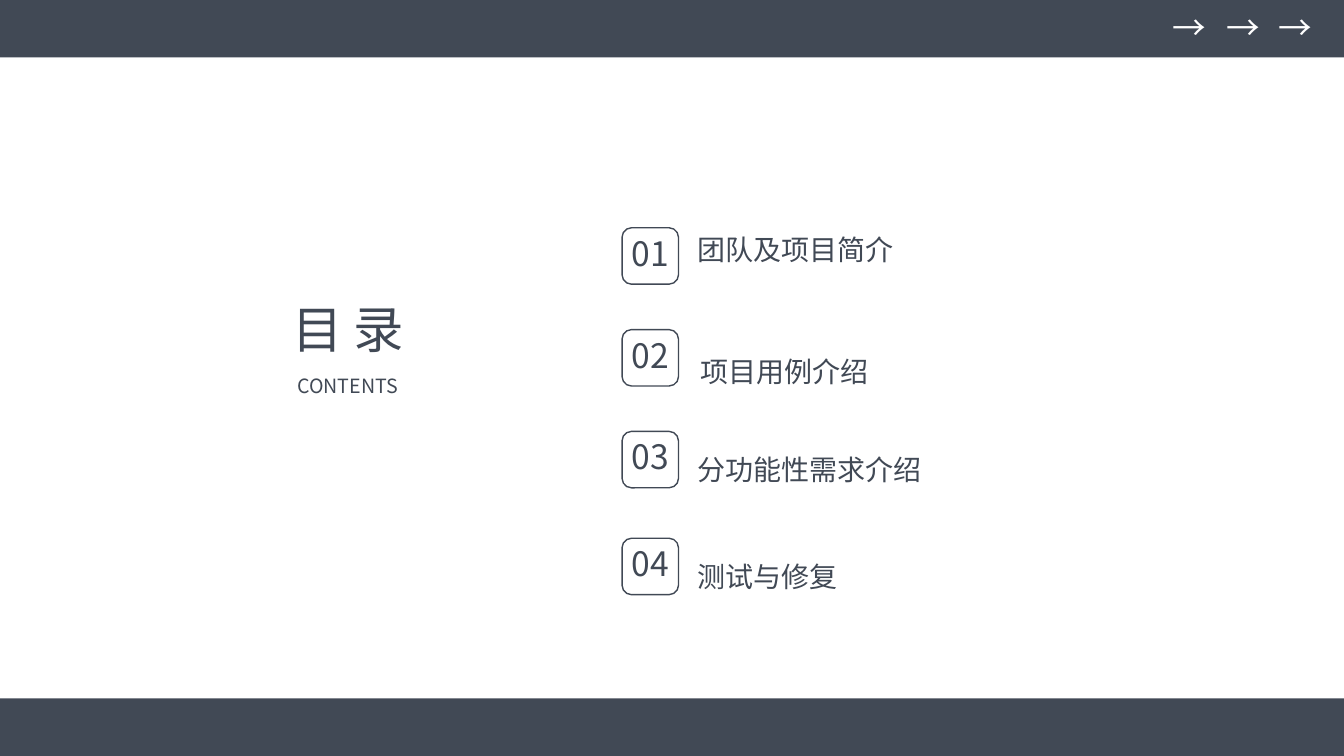
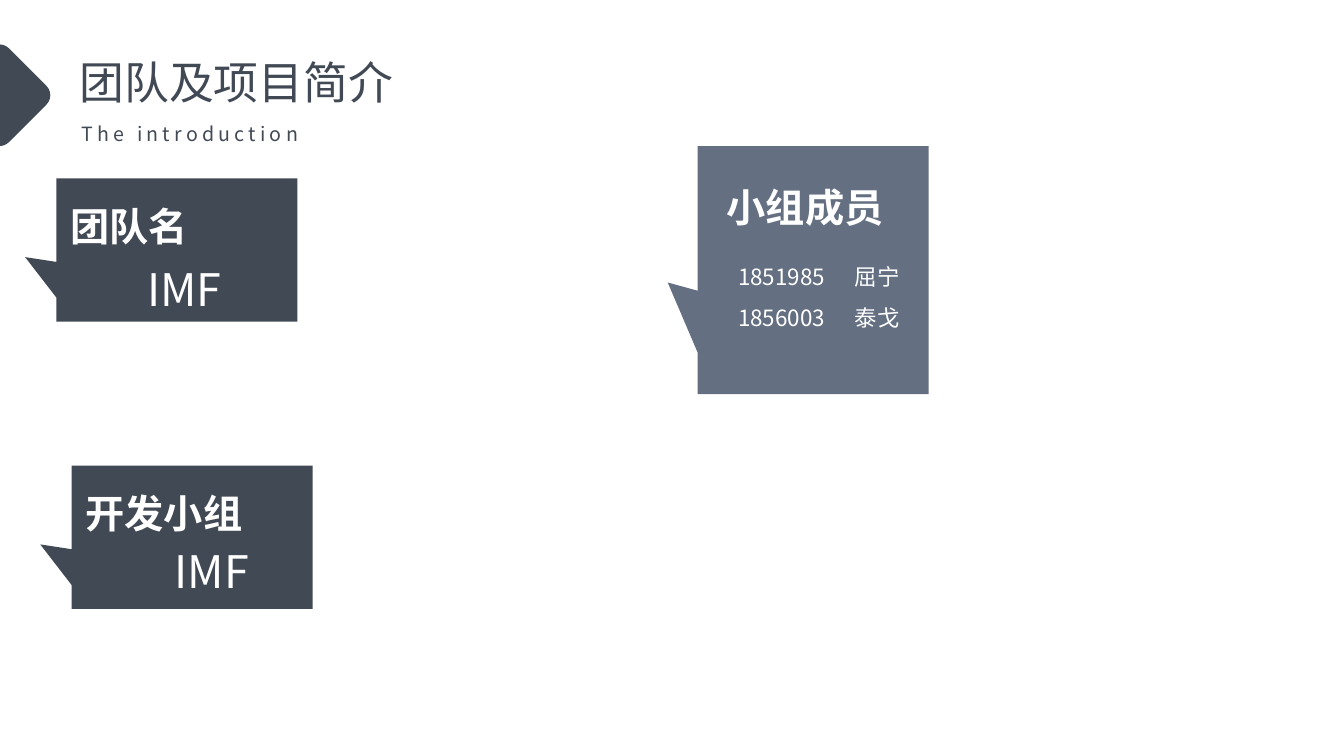
import pptx
import pptx.dml.color
import pptx.enum.shapes
import pptx.enum.text
import pptx.oxml.ns
import pptx.util
from lxml import etree

EMU_PER_PX = 9144
SLIDE_WIDTH, SLIDE_HEIGHT = 1333, 750
SHAPES = pptx.enum.shapes.MSO_SHAPE
ALIGN = pptx.enum.text.PP_ALIGN


def px(length):
    return pptx.util.Emu(length * EMU_PER_PX)


class Deck:
    font_name = "Noto Sans CJK SC"
    colors = {"dark": "414955", "slate": "647082", "white": "FFFFFF"}
    formats = {
        "arrow": {"size": 24, "color": "white", "tracking": 3},
        "contents": {"size": 36},
        "caption": {"size": 14},
        "number": {"size": 24},
        "entry": {"size": 20},
        "title": {"size": 32},
        "subtitle": {"size": 14, "tracking": 3},
        "heading": {"size": 28, "color": "white", "bold": True},
        "team": {"size": 32, "color": "white"},
        "member": {"size": 16, "color": "white"},
    }

    def __init__(self):
        self.presentation = pptx.Presentation()
        self.presentation.slide_width = px(SLIDE_WIDTH)
        self.presentation.slide_height = px(SLIDE_HEIGHT)
        self.slide = None

    def color(self, name):
        return pptx.dml.color.RGBColor.from_string(self.colors[name])

    def new_slide(self):
        self.slide = self.presentation.slides.add_slide(self.presentation.slide_layouts[6])

    def shape(self, kind, left, top, width, height, fill=None, line=None):
        shape = self.slide.shapes.add_shape(kind, px(left), px(top), px(width), px(height))
        shape.shadow.inherit = False
        for format_part, name in ((shape.fill, fill), (shape.line.fill, line)):
            if name:
                format_part.solid()
                format_part.fore_color.rgb = self.color(name)
            else:
                format_part.background()
        if line:
            shape.line.width = pptx.util.Pt(1)
        return shape

    def text(self, lines, style, left, top, width, height,
             align=ALIGN.LEFT, spacing=1.0, inset=True, tab=None):
        """Write one paragraph per line; tab is the position of a tab stop in px."""
        box = self.slide.shapes.add_textbox(px(left), px(top), px(width), px(height))
        frame = box.text_frame
        frame.word_wrap = True
        if not inset:
            for side in ("left", "right", "top", "bottom"):
                setattr(frame, f"margin_{side}", 0)
        for index, line in enumerate(lines):
            paragraph = frame.add_paragraph() if index else frame.paragraphs[0]
            paragraph.alignment = align
            paragraph.line_spacing = spacing
            if tab:
                properties = paragraph._p.get_or_add_pPr()
                stops = etree.SubElement(properties, pptx.oxml.ns.qn("a:tabLst"))
                etree.SubElement(stops, pptx.oxml.ns.qn("a:tab"), pos=str(px(tab)), algn="l")
            self.run(paragraph, line, **self.formats[style])

    def run(self, paragraph, text, size, color="dark", bold=False, tracking=0):
        run = paragraph.add_run()
        run.text = text
        values = {"name": self.font_name, "size": pptx.util.Pt(size), "bold": bold}
        for attribute, value in values.items():
            setattr(run.font, attribute, value)
        run.font.color.rgb = self.color(color)
        properties = run._r.get_or_add_rPr()
        etree.SubElement(properties, pptx.oxml.ns.qn("a:ea"), typeface=self.font_name)
        if tracking:
            properties.set("spc", str(tracking * 100))

    def bands(self):
        height = 57
        for top in (SLIDE_HEIGHT - height, 0):
            self.shape(SHAPES.RECTANGLE, 0, top, SLIDE_WIDTH, height, fill="dark")
        for left in (1110, 1163, 1215):
            self.text(["→"], "arrow", left, 2, 140, 50, align=ALIGN.CENTER)

    def entry(self, number, label, top, label_left, label_top, spacing):
        self.shape(SHAPES.ROUNDED_RECTANGLE, 617, top, 56, 56, line="dark")
        self.text([f"{number:02}"], "number", 605, top, 80, 50, align=ALIGN.CENTER)
        self.text([label], "entry", label_left, label_top, 416, 59, spacing=spacing)

    def title(self, title, subtitle):
        diamond = self.shape(SHAPES.ROUNDED_RECTANGLE, -40, 55, 79, 79, fill="dark")
        diamond.rotation = 45
        self.text([title], "title", 69, 49, 375, 64)
        self.text([subtitle], "subtitle", 71, 104, 277, 41, spacing=1.5)

    def callout(self, left, top, width, height, fill):
        callout = self.shape(SHAPES.RECTANGULAR_CALLOUT, left, top, width, height, fill=fill)
        callout.adjustments[0] = -0.63
        callout.adjustments[1] = 0.05

    def team_card(self, heading, name, left, top, name_left, name_top):
        self.callout(left, top, 239, 142, "dark")
        self.text([heading], "heading", left + 14, top, 185, 91, spacing=1.5, inset=False)
        self.text([name], "team", name_left, name_top, 200, 64, align=ALIGN.CENTER)


def contents_slide(deck):
    deck.new_slide()
    deck.bands()
    deck.text(["CONTENTS"], "caption", 285, 366, 143, 34, align=ALIGN.JUSTIFY)
    deck.text(["目 录"], "contents", 280, 291, 155, 71, align=ALIGN.JUSTIFY)
    entries = (
        ("团队及项目简介", 226, 682, 226, 1.0),
        ("项目用例介绍", 327, 685, 322, 1.75),
        ("分功能性需求介绍", 428, 682, 419, 1.75),
        ("测试与修复", 534, 682, 525, 1.75),
    )
    for number, entry in enumerate(entries, start=1):
        deck.entry(number, *entry)


def team_slide(deck):
    deck.new_slide()
    deck.title("团队及项目简介", "The introduction")
    deck.callout(692, 145, 229, 246, "slate")
    deck.text(["1851985\t屈宁", "1856003\t泰戈"], "member", 732, 248, 189, 117,
              spacing=1.5, inset=False, tab=116)
    deck.text(["小组成员"], "heading", 711, 177, 206, 57)
    deck.team_card("团队名", "IMF", 56, 177, 83, 255)
    deck.team_card("开发小组", "IMF", 71, 462, 110, 534)


def main():
    deck = Deck()
    contents_slide(deck)
    team_slide(deck)
    deck.presentation.save("out.pptx")


if __name__ == "__main__":
    main()
